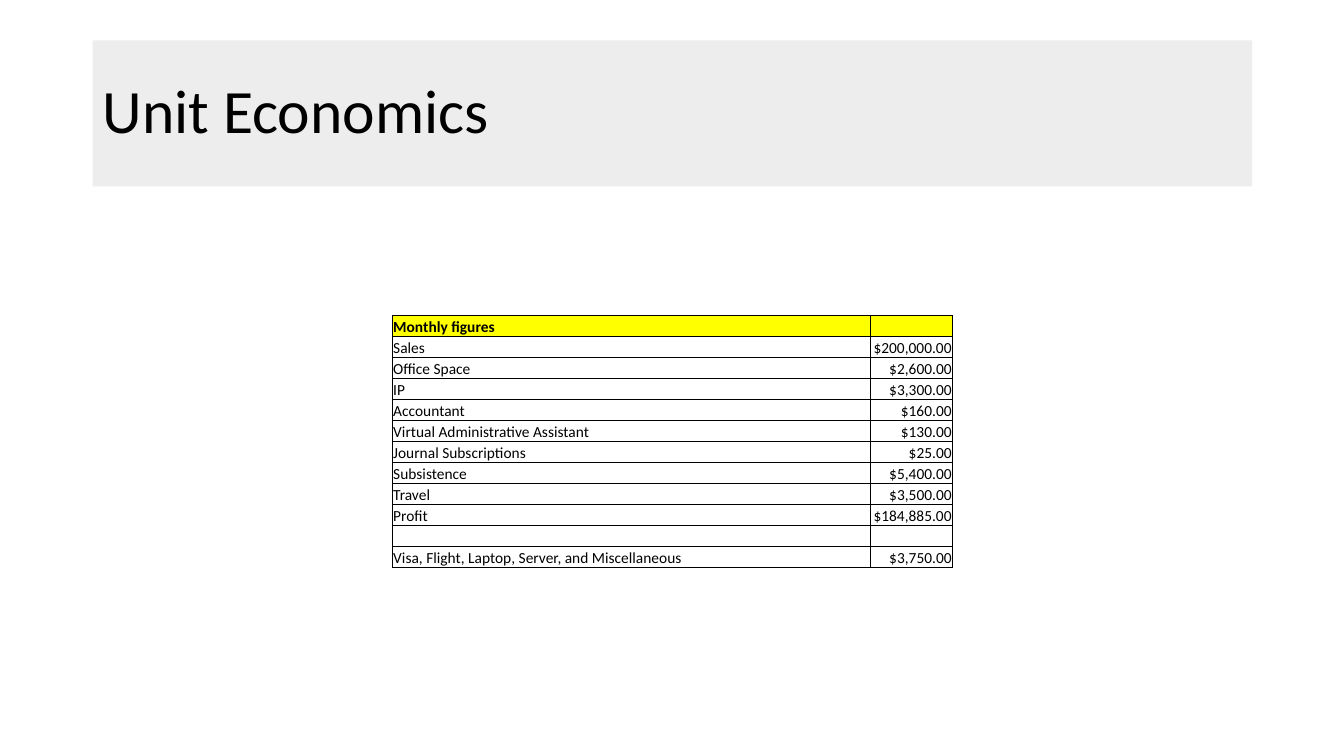
import pptx
import pptx.dml.color
import pptx.enum.shapes
import pptx.enum.text
import pptx.oxml
import pptx.oxml.ns
import pptx.util

Inches = pptx.util.Inches
Pt = pptx.util.Pt
ALIGN = pptx.enum.text.PP_ALIGN
ANCHOR = pptx.enum.text.MSO_ANCHOR

COLORS = {"text": "000000", "band": "EDEDED", "header": "FFFF00", "border": "000000"}
MONTHLY_FIGURES = [
    ("Monthly figures", ""),
    ("Sales", "$200,000.00"),
    ("Office Space", "$2,600.00"),
    ("IP", "$3,300.00"),
    ("Accountant", "$160.00"),
    ("Virtual Administrative Assistant", "$130.00"),
    ("Journal Subscriptions", "$25.00"),
    ("Subsistence", "$5,400.00"),
    ("Travel", "$3,500.00"),
    ("Profit", "$184,885.00"),
    ("", ""),
    ("Visa, Flight, Laptop, Server, and Miscellaneous", "$3,750.00"),
]


class SlideBuilder:
    """Draws styled elements on one slide."""

    def __init__(self, slide, font="Calibri"):
        self.slide = slide
        self.font = font

    def color(self, name):
        return pptx.dml.color.RGBColor.from_string(COLORS[name])

    def set_text(self, paragraph, text, size, bold=False, align=ALIGN.LEFT):
        paragraph.text = text
        paragraph.alignment = align
        for run in paragraph.runs:
            run.font.name = self.font
            run.font.size = Pt(size)
            run.font.bold = bold
            run.font.color.rgb = self.color("text")
        if not text:
            end = pptx.oxml.parse_xml(
                f'<a:endParaRPr {pptx.oxml.ns.nsdecls("a")} sz="{size * 100}"/>')
            paragraph._p.append(end)

    def title(self, text, left, top, width, height):
        band = self.slide.shapes.add_shape(
            pptx.enum.shapes.MSO_SHAPE.RECTANGLE,
            Inches(left), Inches(top), Inches(width), Inches(height))
        band.shadow.inherit = False
        band.fill.solid()
        band.fill.fore_color.rgb = self.color("band")
        band.line.fill.background()
        band.text_frame.word_wrap = True
        band.text_frame.vertical_anchor = ANCHOR.MIDDLE
        heading = band.text_frame.paragraphs[0]
        self.set_text(heading, text, 44)
        heading.line_spacing = 0.9

    def borders(self, cell, width=0.5):
        properties = cell._tc.get_or_add_tcPr()
        for side in "LRTB":
            properties.append(pptx.oxml.parse_xml(
                f'<a:ln{side} {pptx.oxml.ns.nsdecls("a")} w="{Pt(width)}">'
                f'<a:solidFill><a:srgbClr val="{COLORS["border"]}"/></a:solidFill>'
                f'</a:ln{side}>'))

    def cell(self, cell, text, header, align):
        cell.margin_left = cell.margin_right = cell.margin_top = Inches(0.01)
        cell.margin_bottom = 0
        cell.vertical_anchor = ANCHOR.BOTTOM
        self.borders(cell)
        if header:
            cell.fill.solid()
            cell.fill.fore_color.rgb = self.color("header")
        else:
            cell.fill.background()
        self.set_text(cell.text_frame.paragraphs[0], text, 11, header, align)

    def table(self, rows, left, top, widths, height):
        figures = self.slide.shapes.add_table(
            len(rows), len(widths), Inches(left), Inches(top),
            Inches(sum(widths)), Inches(height)).table
        figures.first_row = False
        figures.horz_banding = False
        for column, width in zip(figures.columns, widths):
            column.width = Inches(width)
        for r, row in enumerate(rows):
            for c, text in enumerate(row):
                align = ALIGN.RIGHT if c else ALIGN.LEFT
                self.cell(figures.cell(r, c), text, r == 0, align)


def main():
    deck = pptx.Presentation()
    deck.slide_width = Inches(13.33)
    deck.slide_height = Inches(7.5)
    builder = SlideBuilder(deck.slides.add_slide(deck.slide_layouts[6]))
    builder.title("Unit Economics", 0.92, 0.4, 11.5, 1.45)
    builder.table(MONTHLY_FIGURES, 3.89, 3.13, (4.74, 0.82), 2.5)
    deck.save("out.pptx")


if __name__ == "__main__":
    main()
